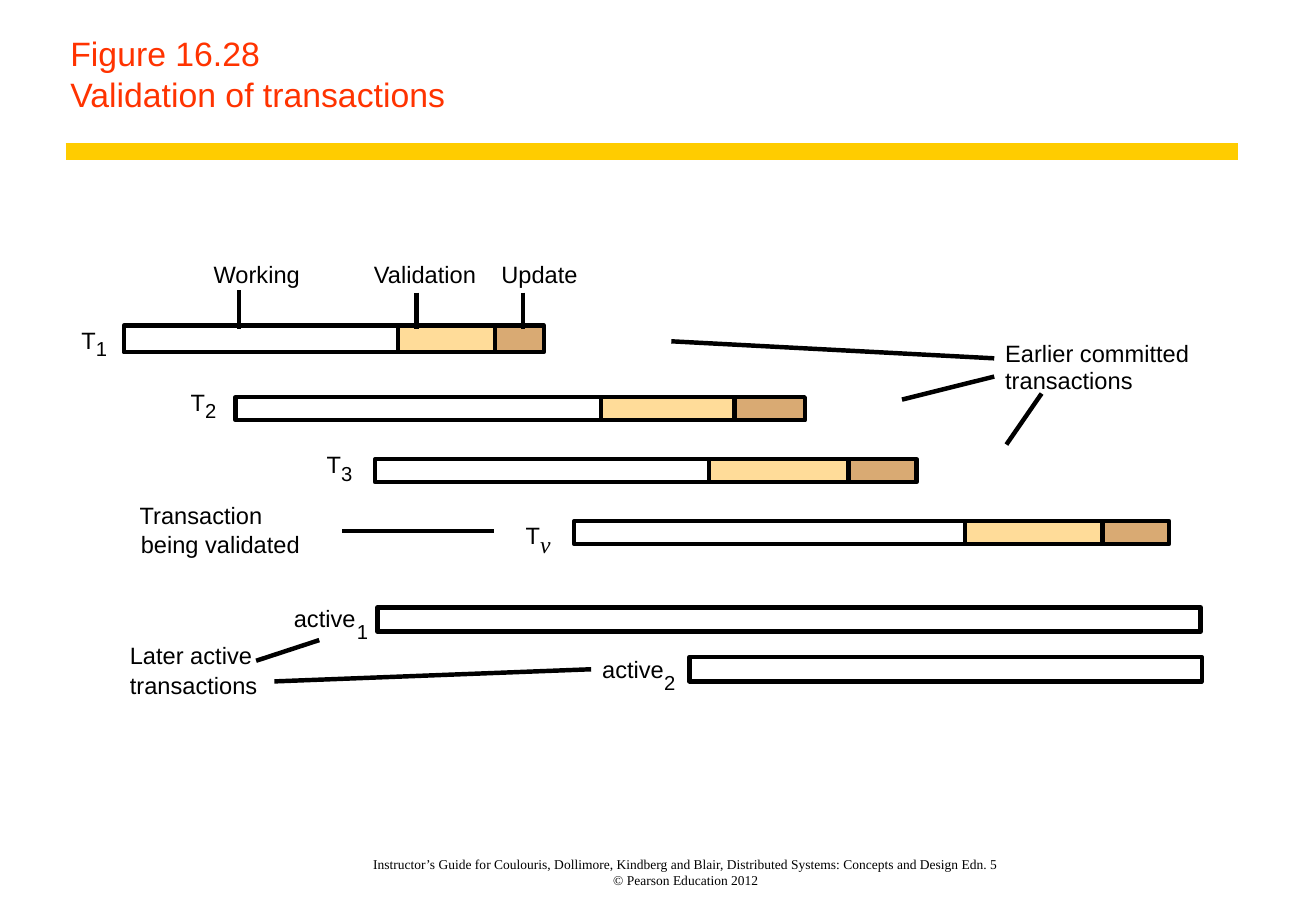
"""Build the slide showing validation of transactions."""
from dataclasses import dataclass
from itertools import pairwise

from lxml import etree
from pptx import Presentation
from pptx import util as u
from pptx.dml.color import RGBColor
from pptx.enum import shapes, text
from pptx.oxml import ns
from pptx.slide import Slide


@dataclass(frozen=True)
class Theme:
    """Colours, fonts and sizes."""
    ink: str = "000000"
    title: str = "FF3300"
    rule: str = "FFCC00"
    working: str = "FFFFFF"
    validation: str = "FFDC99"
    update: str = "D9AA73"
    sans: str = "Arial"
    serif: str = "Times New Roman"
    title_size: float = 20
    label_size: float = 14
    index_size: float = 12
    footer_size: float = 8
    stroke: float = 2.64
    rule_width: float = 10


THEME = Theme()


@dataclass(frozen=True)
class Label:
    """Text in a box."""
    words: str
    left: float
    top: float
    width: float
    height: float = 0.23
    size: float = THEME.label_size
    font: str = THEME.sans
    color: str = THEME.ink
    italic: bool = False
    wrap: bool = False
    bottom: bool = False
    align: text.PP_ALIGN = text.PP_ALIGN.LEFT
    inset: float = 0


@dataclass(frozen=True)
class Bar:
    """Transaction bar whose edges bound its successive phases."""
    top: float
    height: float
    edges: tuple[float, ...]


@dataclass(frozen=True)
class Line:
    """Straight line between two points."""
    x1: float
    y1: float
    x2: float
    y2: float
    color: str = THEME.ink
    width: float = THEME.stroke


@dataclass(frozen=True)
class Name:
    """Transaction name with a lowered index."""
    stem: str
    index: str
    left: float
    top: float
    width: float
    drop: float
    size: float = THEME.index_size
    font: str = THEME.sans
    italic: bool = False


BARS = (
    Bar(2.68, 0.22, (1.02, 3.28, 4.08, 4.48)),
    Bar(3.27, 0.19, (1.94, 4.95, 6.05, 6.63)),
    Bar(3.78, 0.19, (3.09, 5.84, 6.99, 7.55)),
    Bar(4.29, 0.19, (4.73, 7.95, 9.08, 9.63)),
    Bar(5.00, 0.20, (3.11, 9.89)),
    Bar(5.41, 0.20, (5.68, 9.90)),
)

NAMES = (
    Name("T", "1", 0.67, 2.68, 0.12, 0.09),
    Name("T", "2", 1.57, 3.19, 0.12, 0.09),
    Name("T", "3", 2.69, 3.70, 0.12, 0.10),
    Name("T", "v", 4.33, 4.29, 0.12, 0.07, THEME.label_size, THEME.serif, True),
    Name("active", "1", 2.42, 4.97, 0.52, 0.13),
    Name("active", "2", 4.96, 5.39, 0.51, 0.13),
)

LABELS = (
    Label("Figure 16.28\nValidation of transactions", 0.52, 0, 9.68, 1,
          size=THEME.title_size, color=THEME.title, wrap=True, bottom=True, inset=0.06),
    Label("Working", 1.76, 2.14, 0.74),
    Label("Validation", 3.08, 2.14, 0.88),
    Label("Update", 4.13, 2.14, 0.65),
    Label("Earlier committed", 8.28, 2.79, 1.55),
    Label("transactions", 8.28, 3.01, 1.08),
    Label("Transaction", 1.15, 4.12, 1.04),
    Label("being validated", 1.16, 4.36, 1.34),
    Label("Later active", 1.07, 5.28, 1.03),
    Label("transactions", 1.07, 5.52, 1.08),
    Label("Instructor’s Guide for Coulouris, Dollimore, Kindberg and Blair, "
          "Distributed Systems: Concepts and Design Edn. 5\n© Pearson Education 2012",
          2.35, 6.92, 6.6, 0.39, size=THEME.footer_size, font=THEME.serif,
          wrap=True, bottom=True, align=text.PP_ALIGN.CENTER),
)

RULE = Line(0.54, 1.25, 10.2, 1.25, THEME.rule, THEME.rule_width)
POINTERS = (
    Line(1.97, 2.39, 1.97, 2.71),
    Line(3.43, 2.41, 3.43, 2.71),
    Line(4.31, 2.41, 4.31, 2.71),
    Line(5.53, 2.81, 8.19, 2.95),
    Line(7.43, 3.29, 8.19, 3.10),
    Line(8.29, 3.66, 8.58, 3.24),
    Line(2.82, 4.37, 4.07, 4.37),
    Line(2.11, 5.44, 2.63, 5.27),
    Line(2.26, 5.61, 4.87, 5.51),
)


def rgb(color: str) -> RGBColor:
    """Turn a hex string into a colour."""
    return RGBColor.from_string(color)


def add_label(s: Slide, label: Label) -> None:
    """Add a text box, growing with its text unless it wraps."""
    sp = s.shapes.add_textbox(*map(u.Inches, (label.left, label.top, label.width, label.height)))
    tf = sp.text_frame
    tf.word_wrap = label.wrap
    tf.auto_size = (text.MSO_AUTO_SIZE.NONE if label.wrap
                    else text.MSO_AUTO_SIZE.SHAPE_TO_FIT_TEXT)
    tf.margin_left = tf.margin_right = tf.margin_top = tf.margin_bottom = u.Inches(label.inset)
    tf.vertical_anchor = text.MSO_ANCHOR.BOTTOM if label.bottom else text.MSO_ANCHOR.TOP
    p = tf.paragraphs[0]
    p.text = label.words
    p.alignment = label.align
    p.font.name, p.font.size = label.font, u.Pt(label.size)
    p.font.italic = label.italic
    p.font.color.rgb = rgb(label.color)


def add_name(s: Slide, name: Name) -> None:
    """Add a transaction name and its index."""
    add_label(s, Label(name.stem, name.left, name.top, name.width))
    add_label(s, Label(name.index, name.left + name.width, name.top + name.drop, 0.09,
                       size=name.size, font=name.font, italic=name.italic))


def add_bar(s: Slide, bar: Bar) -> None:
    """Add one outlined rectangle for each phase."""
    fills = (THEME.working, THEME.validation, THEME.update)
    for (left, right), fill in zip(pairwise(bar.edges), fills):
        sp = s.shapes.add_shape(shapes.MSO_SHAPE.RECTANGLE,
                                *map(u.Inches, (left, bar.top, right - left, bar.height)))
        sp.shadow.inherit = False
        sp.fill.solid()
        sp.fill.fore_color.rgb = rgb(fill)
        sp.line.color.rgb = rgb(THEME.ink)
        sp.line.width = u.Pt(THEME.stroke)


def add_line(s: Slide, line: Line) -> None:
    """Add a straight line without shadow."""
    sp = s.shapes.add_connector(shapes.MSO_CONNECTOR.STRAIGHT,
                                *map(u.Inches, (line.x1, line.y1, line.x2, line.y2)))
    sp.line.color.rgb = rgb(line.color)
    sp.line.width = u.Pt(line.width)
    etree.SubElement(sp._element.spPr, ns.qn("a:effectLst"))


def main() -> None:
    """Build and save the slide."""
    prs = Presentation()
    prs.slide_width, prs.slide_height = u.Inches(10.84), u.Inches(7.5)
    s = prs.slides.add_slide(prs.slide_layouts[6])
    for bar in BARS:
        add_bar(s, bar)
    for line in (RULE, *POINTERS):
        add_line(s, line)
    for label in LABELS:
        add_label(s, label)
    for name in NAMES:
        add_name(s, name)
    prs.save("out.pptx")


if __name__ == "__main__":
    main()
